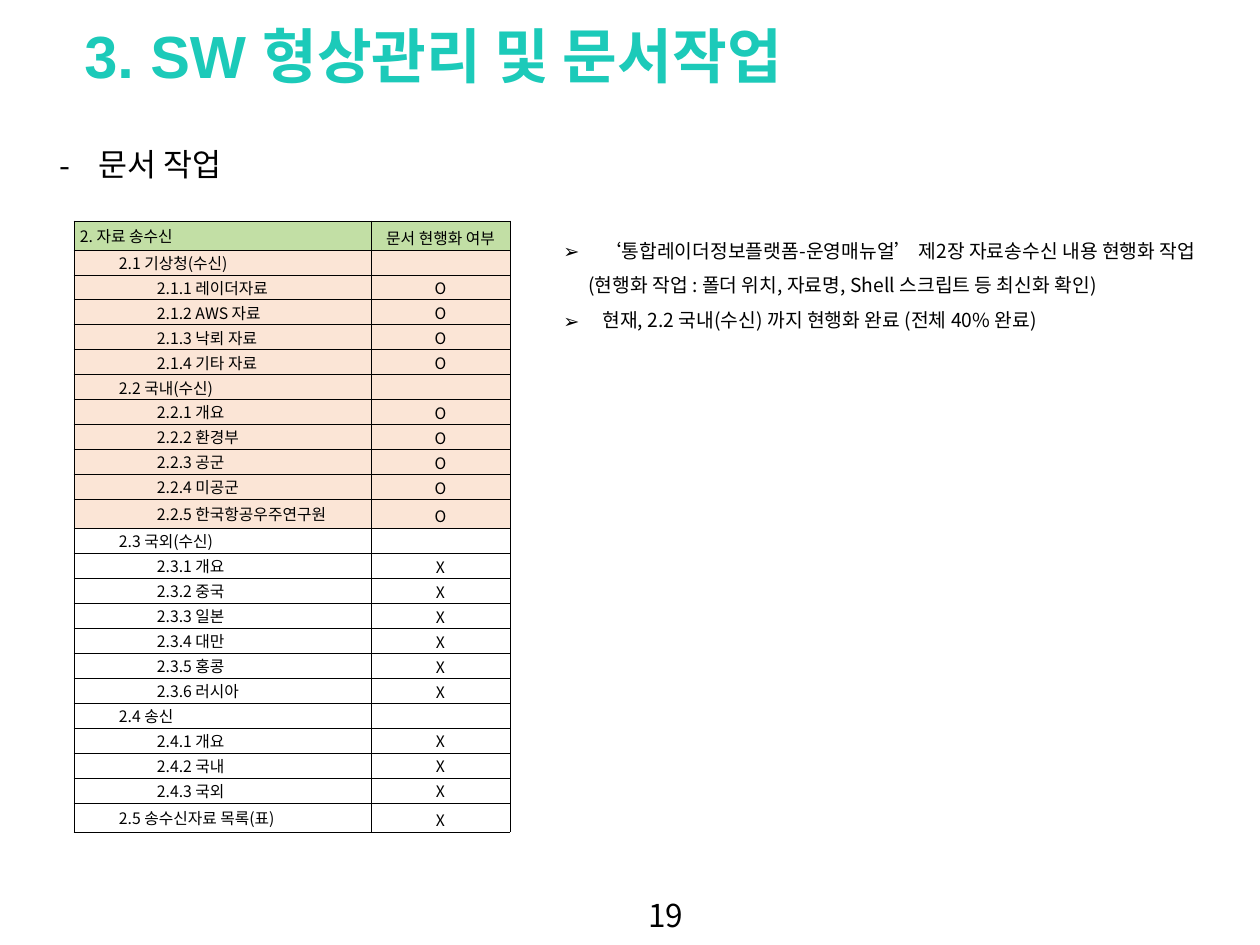
import pptx
import pptx.dml.color
import pptx.enum.text
import pptx.oxml.ns
import pptx.util
from lxml import etree

PX = 914400 // 126
ALIGN = pptx.enum.text.PP_ALIGN
ANCHOR = pptx.enum.text.MSO_ANCHOR


class Theme:
    teal, black, green, peach = "1CCAB9", "000000", "C2DFA5", "FBE5D6"
    heading_font, body_font = "Arial", "Noto Sans CJK KR"
    title, subtitle, notes, table = 34, 18, 11, 9
    border = 0.5


TITLE = "3. SW 형상관리 및 문서작업"
SUBTITLE = "문서 작업"
PAGE_NUMBER = "19"
NOTES = [  # text, has a bullet
    ("‘통합레이더정보플랫폼-운영매뉴얼’ 제2장 자료송수신 내용 현행화 작업", True),
    ("(현행화 작업 : 폴더 위치, 자료명, Shell 스크립트 등 최신화 확인)", False),
    ("현재, 2.2 국내(수신) 까지 현행화 완료 (전체 40% 완료)", True),
]
HEADER = ("2. 자료 송수신", "문서 현행화 여부")
SECTIONS = [  # section, its own mark, mark of its items, items
    ("기상청(수신)", "", "O", ["레이더자료", "AWS 자료", "낙뢰 자료", "기타 자료"]),
    ("국내(수신)", "", "O", ["개요", "환경부", "공군", "미공군", "한국항공우주연구원"]),
    ("국외(수신)", "", "X", ["개요", "중국", "일본", "대만", "홍콩", "러시아"]),
    ("송신", "", "X", ["개요", "국내", "국외"]),
    ("송수신자료 목록(표)", "X", "X", []),
]
COLUMNS = (39, 38, 220, 139)
MARK_COLUMN = len(COLUMNS) - 1
ROW_HEIGHT, TALL_ROW_HEIGHT = 25, 29
LAST_DONE = "2.2.5"


def px(*lengths):
    return [length * PX for length in lengths]


def color(code):
    return pptx.dml.color.RGBColor.from_string(code)


def add_xml(parent, tag, **attributes):
    return etree.SubElement(parent, pptx.oxml.ns.qn(tag), attributes)


def write(para, text, size, font=Theme.body_font, ink=Theme.black, bold=False,
          align=ALIGN.LEFT, spacing=None, bullet=None, left=0, hanging=0):
    para.alignment = align
    if spacing:
        para.line_spacing = spacing
    properties = para._p.get_or_add_pPr()
    properties.set("marL", str(left * PX))
    properties.set("indent", str(-hanging * PX))
    if bullet:
        add_xml(properties, "a:buFont", typeface=font)
        add_xml(properties, "a:buChar", char=bullet)
    if not text:
        add_xml(para._p, "a:endParaRPr", sz=str(size * 100))
        return
    span = para.add_run()
    span.text = text
    span.font.size = pptx.util.Pt(size)
    span.font.name = font
    span.font.bold = bold
    span.font.color.rgb = color(ink)
    add_xml(span._r.get_or_add_rPr(), "a:ea", typeface=Theme.body_font)


def add_box(page, *place, wrap=True, anchor=ANCHOR.TOP):
    frame = page.shapes.add_textbox(*px(*place)).text_frame
    frame.word_wrap = wrap
    frame.vertical_anchor = anchor
    return frame


def style_cell(cell, fill, sides):
    """Set margins, fill and a border on the given sides (letters of LRTB)."""
    cell.margin_left, cell.margin_right = px(6, 6)
    cell.margin_top, cell.margin_bottom = px(1, 1)
    properties = cell._tc.get_or_add_tcPr()
    for side in "LRTB":
        line = add_xml(properties, "a:ln" + side, w=str(pptx.util.Pt(Theme.border)))
        if side in sides:
            paint = add_xml(line, "a:solidFill")
            add_xml(paint, "a:srgbClr", val=Theme.black)
        else:
            add_xml(line, "a:noFill")
    if fill:
        cell.fill.solid()
        cell.fill.fore_color.rgb = color(fill)
    else:
        cell.fill.background()


def table_rows():
    """List (level, label, mark, fill, height) for every row."""
    rows = [(0, *HEADER, Theme.green, TALL_ROW_HEIGHT)]
    fill = Theme.peach
    for number, (section, mark, item_mark, items) in enumerate(SECTIONS, 1):
        entries = [(1, f"2.{number}", section, mark)]
        entries += [(2, f"2.{number}.{place}", item, item_mark)
                    for place, item in enumerate(items, 1)]
        for level, code, name, entry_mark in entries:
            tall = code == LAST_DONE or number == len(SECTIONS)
            height = TALL_ROW_HEIGHT if tall else ROW_HEIGHT
            rows.append((level, f"{code} {name}", entry_mark, fill, height))
            if code == LAST_DONE:
                fill = None
    return rows


def add_status_table(page, left, top):
    rows = table_rows()
    place = px(left, top, sum(COLUMNS), sum(row[-1] for row in rows))
    frame = page.shapes.add_table(len(rows), len(COLUMNS), *place)
    table = frame.table
    table.first_row = table.horz_banding = False
    style = table._tbl.tblPr.find(pptx.oxml.ns.qn("a:tableStyleId"))
    style.text = "{2D5ABB26-0587-4C30-8999-92F81FD0307C}"
    for column, width in zip(table.columns, COLUMNS):
        column.width = width * PX
    for index, (level, label, mark, fill, height) in enumerate(rows):
        table.rows[index].height = height * PX
        for column in range(len(COLUMNS)):
            cell = table.cell(index, column)
            sides = "TB"
            if column in (0, MARK_COLUMN):
                sides += "L"
            if column >= min(level, MARK_COLUMN - 1) or column == MARK_COLUMN:
                sides += "R"
            style_cell(cell, fill, sides)
            is_mark = column == MARK_COLUMN
            text = mark if is_mark else label if column == level else ""
            cell.vertical_anchor = ANCHOR.BOTTOM if is_mark else ANCHOR.MIDDLE
            write(cell.text_frame.paragraphs[0], text, Theme.table,
                  align=ALIGN.CENTER if is_mark else ALIGN.LEFT,
                  spacing=1.03 if is_mark and text else None)
        if level < MARK_COLUMN - 1:
            table.cell(index, level).merge(table.cell(index, MARK_COLUMN - 1))


def main():
    deck = pptx.Presentation()
    deck.slide_width, deck.slide_height = px(1260, 945)
    page = deck.slides.add_slide(deck.slide_layouts[6])

    title = add_box(page, 72, -1, 1063, 111, anchor=ANCHOR.MIDDLE)
    write(title.paragraphs[0], TITLE, Theme.title, font=Theme.heading_font,
          ink=Theme.teal, bold=True)

    notes = add_box(page, 551, 221, 684, 117)
    for index, (text, has_bullet) in enumerate(NOTES):
        para = notes.add_paragraph() if index else notes.paragraphs[0]
        layout = dict(bullet="➢", left=39, hanging=39) if has_bullet else dict(left=25)
        write(para, text, Theme.notes, spacing=1.5, **layout)

    subtitle = add_box(page, 47, 139, 204, 50, wrap=False)
    write(subtitle.paragraphs[0], SUBTITLE, Theme.subtitle, bullet="-",
          left=39, hanging=39)

    add_status_table(page, 74, 221)

    number = add_box(page, 636, 890, 60, 50, wrap=False)
    write(number.paragraphs[0], PAGE_NUMBER, Theme.subtitle)
    deck.save("out.pptx")


if __name__ == "__main__":
    main()
